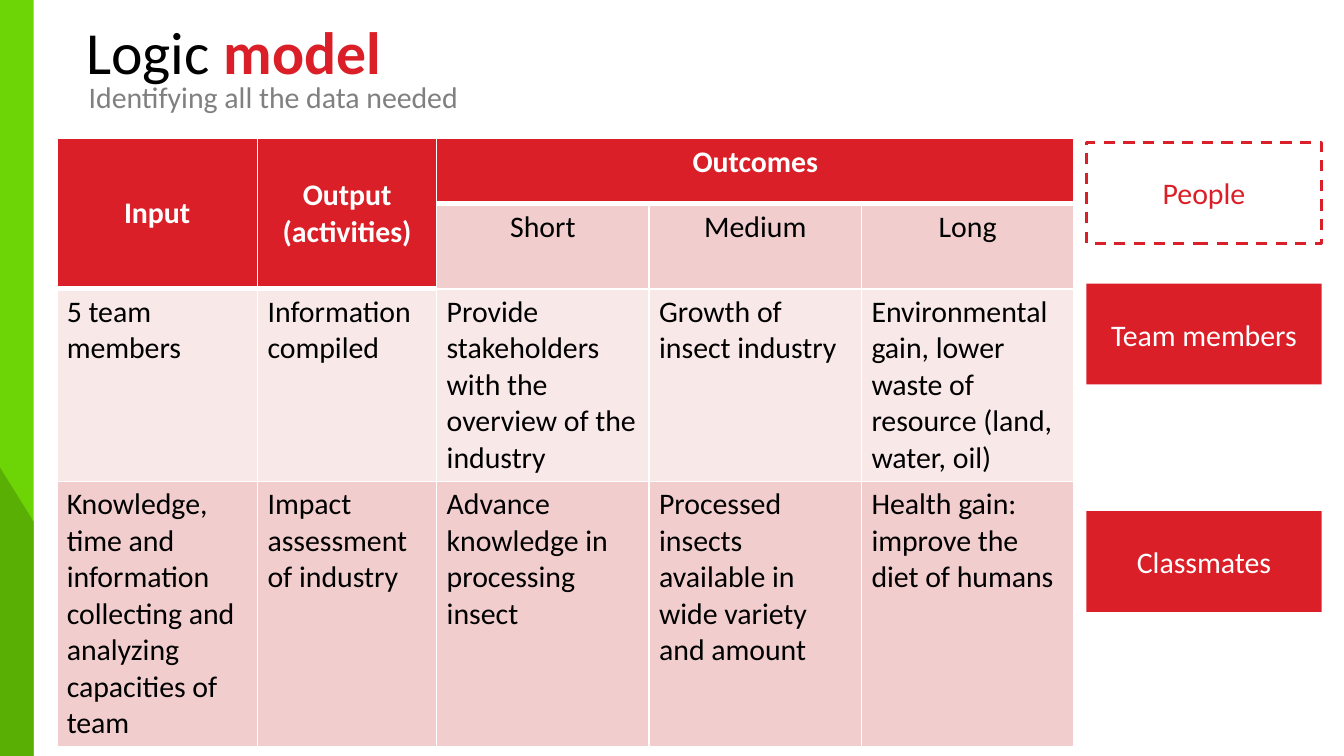
from lxml.etree import SubElement
from pptx import Presentation
from pptx.dml.color import RGBColor
from pptx.enum.dml import MSO_LINE
from pptx.enum.shapes import MSO_SHAPE
from pptx.enum.text import MSO_ANCHOR, MSO_AUTO_SIZE, PP_ALIGN
from pptx.oxml import parse_xml
from pptx.oxml.ns import nsdecls, qn
from pptx.util import Pt

RED = RGBColor(0xDA, 0x1F, 0x28)
ROSE = RGBColor(0xF1, 0xCD, 0xCD)
BLUSH = RGBColor(0xF8, 0xE8, 0xE8)
LIME = RGBColor(0x6D, 0xD4, 0x06)
GREEN = RGBColor(0x5A, 0xAF, 0x05)
GREY = RGBColor(0x80, 0x80, 0x80)
BLACK = RGBColor(0, 0, 0)
WHITE = RGBColor(0xFF, 0xFF, 0xFF)

COLS = [107.6, 96, 113.8, 113.8, 113.8]
ROWS = [35, 45.5, 103.2, 141.3]
HEADER = ["Input", "Output (activities)", "Outcomes", "", ""]
TERMS = ["", "", "Short", "Medium", "Long"]
DETAILS = [
    ["5 team members", "Information compiled",
     "Provide stakeholders with the overview of the industry",
     "Growth of insect industry",
     "Environmental gain, lower waste of resource (land, water, oil)"],
    ["Knowledge, time and information collecting and analyzing capacities of team",
     "Impact assessment of industry",
     "Advance knowledge in processing insect",
     "Processed insects available in wide variety and amount",
     "Health gain: improve the diet of humans"],
]


def add_run(p, text, color, size=16, bold=False):
    r = p.add_run()
    r.text = text
    r.font.color.rgb = color
    formats = {"name": "Calibri", "size": Pt(size), "bold": bold}
    for name, value in formats.items():
        setattr(r.font, name, value)


def place(sp, x, y, w, h):
    box = {"left": x, "top": y, "width": w, "height": h}
    for name, value in box.items():
        setattr(sp, name, Pt(value))


def add_side_bar(s, x, y, w, h):
    bar = s.shapes.add_shape(MSO_SHAPE.RECTANGLE, Pt(x), Pt(y), Pt(w), Pt(h))
    # Darker wedge at the foot of the bar
    wedge = s.shapes.build_freeform(Pt(x), Pt(y + 250.5), scale=1.0)
    wedge.add_line_segments([(Pt(x + w), Pt(y + 279.5)),
                             (Pt(x + w), Pt(y + h)), (Pt(x), Pt(y + h))])
    for sp, color in ((bar, LIME), (wedge.convert_to_shape(), GREEN)):
        sp.fill.solid()
        sp.fill.fore_color.rgb = color
        sp.line.fill.background()
        sp.shadow.inherit = False


def add_heading(s, x, y):
    title, body = s.shapes.title, s.placeholders[1]
    place(title, x, y, 267, 46)
    place(body, x + 1.3, y + 34, 233, 26.6)
    lines = (
        (title, [("Logic ", BLACK, 32, False), ("model", RED, 32, True)]),
        (body, [("Identifying all the data needed", GREY, 16, False)]),
    )
    for sp, runs in lines:
        tf = sp.text_frame
        formats = {"word_wrap": True, "auto_size": MSO_AUTO_SIZE.NONE,
                   "vertical_anchor": MSO_ANCHOR.TOP}
        for name, value in formats.items():
            setattr(tf, name, value)
        p = tf.paragraphs[0]
        p.alignment, p.space_before = PP_ALIGN.LEFT, Pt(0)
        for run in runs:
            add_run(p, *run)
    # The subtitle has no bullet or indent
    pPr = body.text_frame.paragraphs[0]._p.get_or_add_pPr()
    pPr.set("marL", "0")
    pPr.set("indent", "0")
    SubElement(pPr, qn("a:buNone"))


def set_borders(cell, widths):
    tcPr = cell._tc.get_or_add_tcPr()
    for i, (side, width) in enumerate(widths.items()):
        tcPr.insert(i, parse_xml(
            f'<a:ln{side} {nsdecls("a")} w="{Pt(width)}"><a:solidFill>'
            f'<a:srgbClr val="{WHITE}"/></a:solidFill></a:ln{side}>'))


def add_logic_table(s, x, y):
    frame = s.shapes.add_table(len(ROWS), len(COLS), Pt(x), Pt(y),
                               Pt(sum(COLS)), Pt(sum(ROWS)))
    table = frame.table
    for col, width in zip(table.columns, COLS):
        col.width = Pt(width)
    for row, height in zip(table.rows, ROWS):
        row.height = Pt(height)
    # Merged headings
    for c in (0, 1):
        table.cell(0, c).merge(table.cell(1, c))
    table.cell(0, 2).merge(table.cell(0, 4))

    fills = [RED, ROSE, BLUSH, ROSE]
    for i, texts in enumerate([HEADER, TERMS, *DETAILS]):
        for j, text in enumerate(texts):
            cell = table.cell(i, j)
            head = i == 0 or (i == 1 and j < 2)
            formats = {"margin_left": Pt(5.4), "margin_right": Pt(5.4),
                       "margin_top": Pt(2.7), "margin_bottom": Pt(2.7),
                       "vertical_anchor": MSO_ANCHOR.MIDDLE if head and j < 2
                       else MSO_ANCHOR.TOP}
            for name, value in formats.items():
                setattr(cell, name, value)
            cell.fill.solid()
            cell.fill.fore_color.rgb = RED if head else fills[i]
            under_head = i == (2 if j < 2 else 1)
            set_borders(cell, {"L": 1, "R": 1, "T": 3 if under_head else 1,
                               "B": 3 if head else 1})
            if text:
                p = cell.text_frame.paragraphs[0]
                p.alignment = PP_ALIGN.CENTER if i < 2 else PP_ALIGN.LEFT
                add_run(p, text, WHITE if head else BLACK, bold=head)


def add_people_box(s, x, y, w, h, text, outlined=False):
    sp = s.shapes.add_shape(MSO_SHAPE.RECTANGLE, Pt(x), Pt(y), Pt(w), Pt(h))
    sp.shadow.inherit = False
    if outlined:
        sp.fill.background()
        sp.line.color.rgb = RED
        sp.line.width = Pt(1.5)
        sp.line.dash_style = MSO_LINE.DASH
    else:
        sp.fill.solid()
        sp.fill.fore_color.rgb = RED
        sp.line.fill.background()
    tf = sp.text_frame
    tf.word_wrap, tf.vertical_anchor = True, MSO_ANCHOR.MIDDLE
    p = tf.paragraphs[0]
    p.alignment = PP_ALIGN.CENTER
    add_run(p, text, RED if outlined else WHITE)


def main():
    prs = Presentation()
    prs.slide_width, prs.slide_height = Pt(720), Pt(405)
    s = prs.slides.add_slide(prs.slide_layouts[1])
    add_side_bar(s, 0, 0, 18, 405)
    add_heading(s, 39, 4.3)
    add_logic_table(s, 30.4, 74.2)
    # People column
    for y, text in ((76.3, "People"), (152, "Team members"), (273.8, "Classmates")):
        add_people_box(s, 582, y, 126, 54, text, outlined=text == "People")
    prs.save("out.pptx")


if __name__ == "__main__":
    main()
